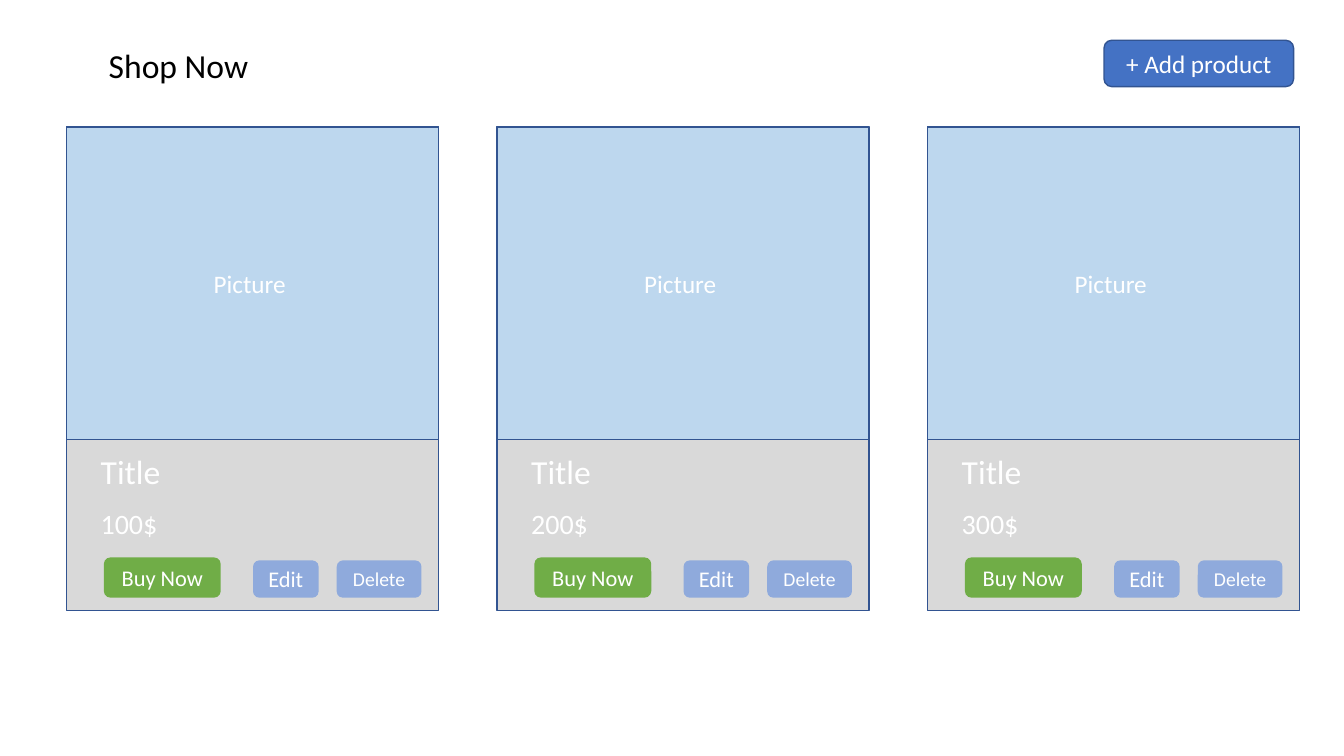
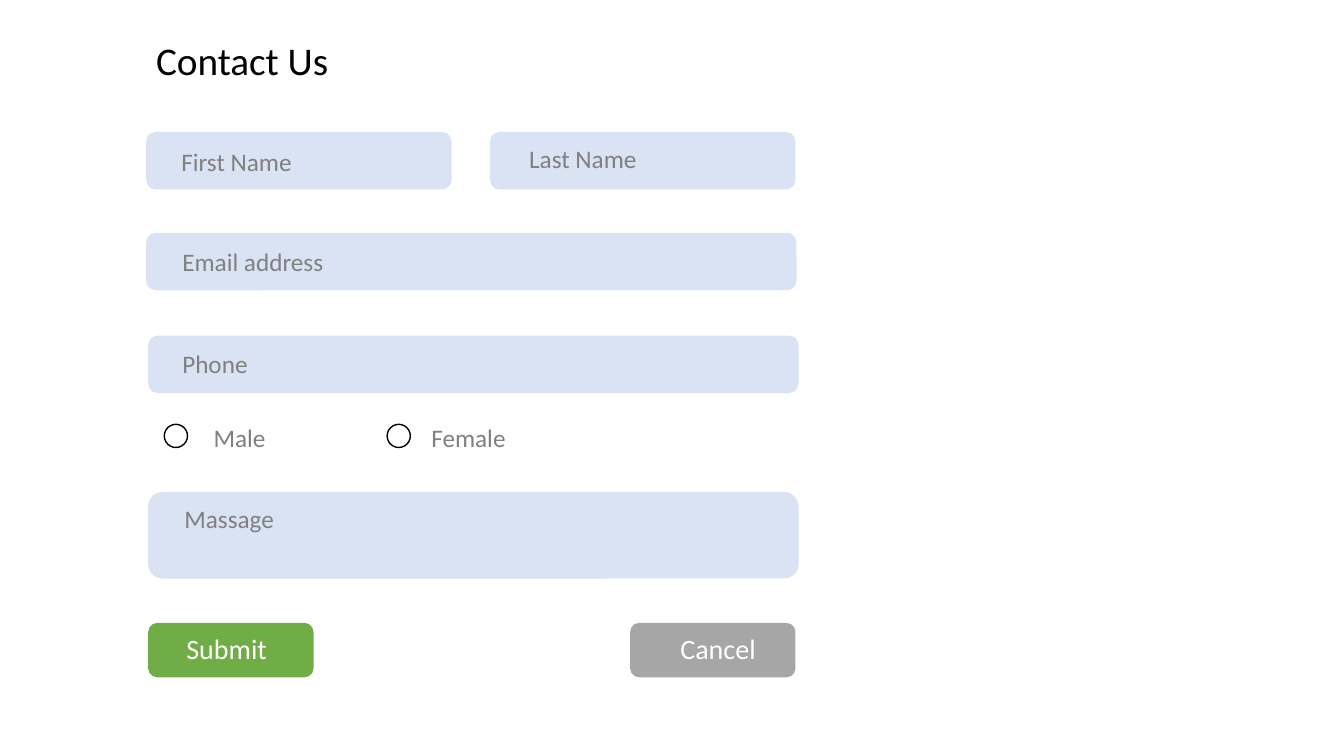
"""Build two wireframe slides: a product shop and a contact form."""
import pptx
import pptx.dml.color
import pptx.enum.shapes
import pptx.enum.text
import pptx.util

Inches = pptx.util.Inches
Pt = pptx.util.Pt
RGBColor = pptx.dml.color.RGBColor
SHAPE = pptx.enum.shapes.MSO_SHAPE
ALIGN = pptx.enum.text.PP_ALIGN
ANCHOR = pptx.enum.text.MSO_ANCHOR
FIT = pptx.enum.text.MSO_AUTO_SIZE

FONT = "Calibri"
BLACK = RGBColor(0x00, 0x00, 0x00)
WHITE = RGBColor(0xFF, 0xFF, 0xFF)
NAVY = RGBColor(0x32, 0x54, 0x91)
BLUE = RGBColor(0x44, 0x72, 0xC4)
SOFT = RGBColor(0x8F, 0xAA, 0xDC)
SKY = RGBColor(0xBD, 0xD7, 0xEE)
PALE = RGBColor(0xDA, 0xE3, 0xF3)
GREEN = RGBColor(0x70, 0xAD, 0x47)
SILVER = RGBColor(0xD9, 0xD9, 0xD9)
GRAY = RGBColor(0xA6, 0xA6, 0xA6)
HINT = RGBColor(0x80, 0x80, 0x80)


def write(frame, text, size=18, color=WHITE, align=ALIGN.LEFT, anchor=ANCHOR.TOP):
    """Put one formatted line of text into a text frame."""
    frame.word_wrap = True
    frame.vertical_anchor = anchor
    line = frame.paragraphs[0]
    line.alignment = align
    run = line.add_run()
    run.text = text
    run.font.name = FONT
    run.font.size = Pt(size)
    run.font.color.rgb = color


def draw(slide, box, fill=None, edge=None, kind=SHAPE.ROUNDED_RECTANGLE, text="", **style):
    """Add a filled shape with centred text, or a text box if there is no fill."""
    spot = [Inches(side) for side in box]
    if fill is None:
        label = slide.shapes.add_textbox(*spot)
        write(label.text_frame, text, **style)
        label.text_frame.auto_size = FIT.SHAPE_TO_FIT_TEXT
        return
    shape = slide.shapes.add_shape(kind, *spot)
    shape.shadow.inherit = False
    shape.fill.solid()
    shape.fill.fore_color.rgb = fill
    if edge is None:
        shape.line.fill.background()
    else:
        shape.line.color.rgb = edge
        shape.line.width = Pt(1)
    if text:
        write(shape.text_frame, text, align=ALIGN.CENTER, anchor=ANCHOR.MIDDLE, **style)


deck = pptx.Presentation()
deck.slide_width = Inches(13.33)
deck.slide_height = Inches(7.5)
blank = deck.slide_layouts[6]

shop = deck.slides.add_slide(blank)
draw(shop, (0.98, 0.4, 1.88, 0.5), text="Shop Now", size=24, color=BLACK)
for col, price in enumerate(("100$", "200$", "300$")):
    left = 0.66 + col * 4.27
    draw(shop, (left, 1.26, 3.69, 4.8), SILVER, NAVY, SHAPE.RECTANGLE)
    draw(shop, (left, 1.26, 3.69, 3.1), SKY, NAVY, SHAPE.RECTANGLE, text="Picture ")
    draw(shop, (left + 0.24, 4.42, 0.96, 0.5), text="Title", size=24)
    draw(shop, (left + 0.24, 4.98, 0.8, 0.44), text=price, size=20)
    draw(shop, (left + 0.37, 5.53, 1.16, 0.4), GREEN, text="Buy Now", size=16)
    draw(shop, (left + 1.85, 5.56, 0.65, 0.37), SOFT, text="Edit", size=16)
    draw(shop, (left + 2.68, 5.56, 0.84, 0.37), SOFT, text="Delete", size=14)
draw(shop, (10.95, 0.4, 1.88, 0.46), BLUE, NAVY, text="+ Add product")

form = deck.slides.add_slide(blank)
draw(form, (1.45, 0.31, 2.45, 0.57), text="Contact Us", size=28, color=BLACK)
fields = (
    ("First Name", (1.45, 1.31, 3.03, 0.57), 1.7, 1.4),
    ("Last Name", (4.86, 1.31, 3.03, 0.57), 5.15, 1.37),
    ("Email address", (1.45, 2.31, 6.45, 0.57), 1.71, 2.39),
    ("Phone", (1.47, 3.33, 6.45, 0.57), 1.71, 3.41),
    ("Massage", (1.47, 4.88, 6.45, 0.86), 1.73, 4.94),
)
for name, box, left, top in fields:
    draw(form, box, PALE)
    draw(form, (left, top, 1.94, 0.4), text=name, color=HINT)

for name, dot, left in (("Male", 1.63, 2.02), ("Female", 3.84, 4.18)):
    draw(form, (dot, 4.21, 0.23, 0.23), WHITE, BLACK, SHAPE.OVAL)
    draw(form, (left, 4.14, 1.94, 0.4), text=name, color=HINT)

for name, fill, edge, left in (("Submit", GREEN, 1.47, 1.75), ("Cancel", GRAY, 6.25, 6.65)):
    draw(form, (edge, 6.18, 1.64, 0.54), fill)
    draw(form, (left, 6.22, 1.24, 0.44), text=name, size=20)

deck.save("out.pptx")
